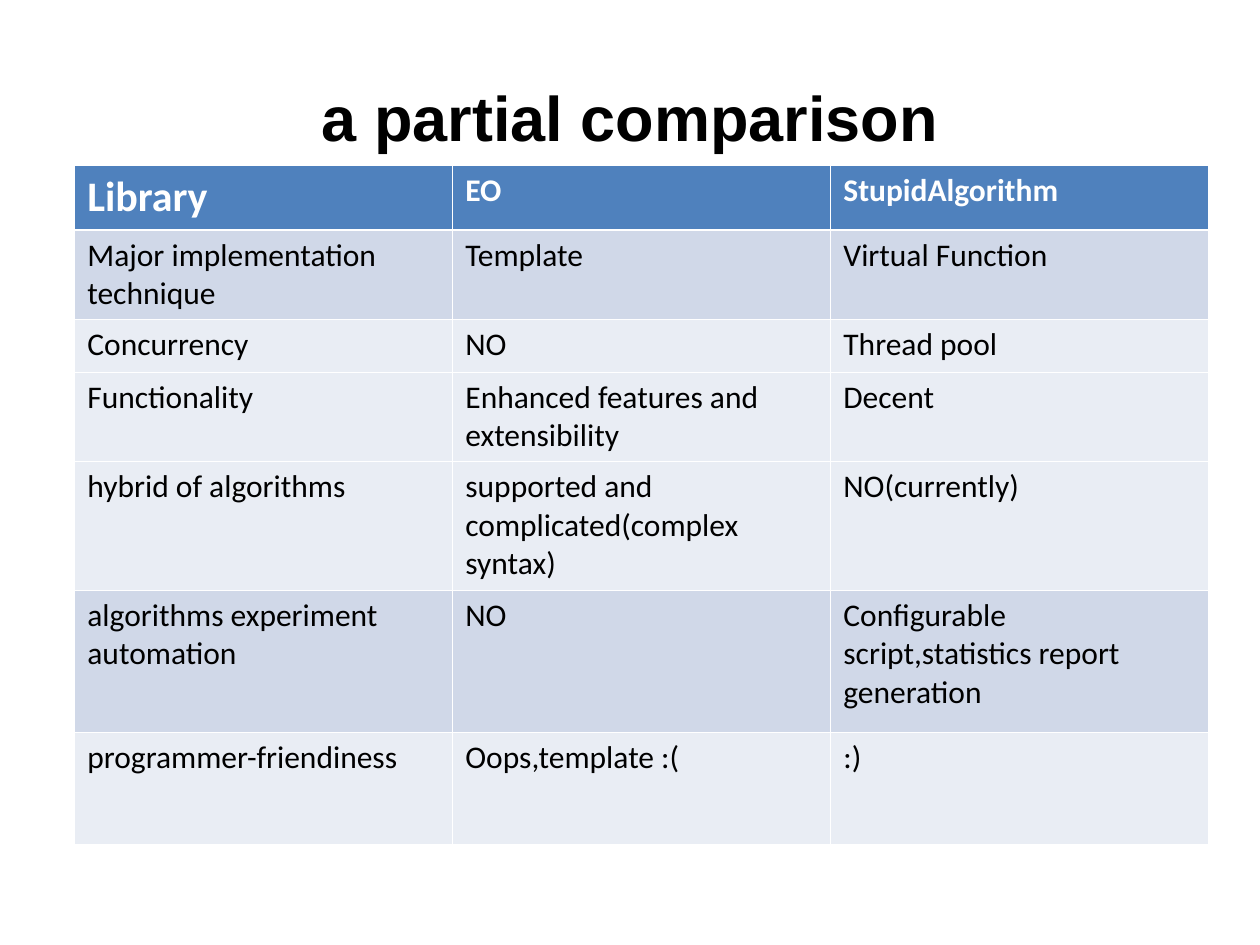
from dataclasses import dataclass

from lxml.etree import SubElement
from pptx import Presentation
from pptx.dml.color import RGBColor
from pptx.enum.text import MSO_ANCHOR, PP_ALIGN
from pptx.oxml.ns import qn
from pptx.util import Pt

WHITE, BLACK = "FFFFFF", "000000"
BLUE, DARK, LIGHT = "4F81BD", "D0D8E8", "E9EDF4"
THIN, THICK = 0.45, 1.47


@dataclass
class Row:
    high: float
    fill: str
    texts: tuple[str, str, str]


ROWS = [
    Row(36.7, BLUE, ("Library", "EO", "StupidAlgorithm")),
    Row(51.1, DARK, ("Major implementation technique", "Template",
                     "Virtual Function")),
    Row(30.2, LIGHT, ("Concurrency", "NO", "Thread pool")),
    Row(51.1, LIGHT, ("Functionality", "Enhanced features and extensibility",
                      "Decent")),
    Row(73.4, LIGHT, ("hybrid of algorithms",
                      "supported and complicated(complex syntax)",
                      "NO(currently)")),
    Row(81.4, DARK, ("algorithms experiment automation", "NO",
                     "Configurable script,statistics report generation")),
    Row(64.1, LIGHT, ("programmer-friendiness", "Oops,template :(", ":)")),
]


def color(code: str) -> RGBColor:
    return RGBColor.from_string(code)


def style(para, name: str, size: float, code: str, bold: bool) -> None:
    font = para.font
    font.name, font.size, font.bold = name, Pt(size), bold
    font.color.rgb = color(code)


def border(cell, side: str, width: float) -> None:
    line = SubElement(cell._tc.get_or_add_tcPr(), qn(f"a:ln{side}"),
                      w=str(int(Pt(width))))
    fill = SubElement(line, qn("a:solidFill"))
    SubElement(fill, qn("a:srgbClr"), val=WHITE)


def draw_cell(cell, text: str, fill: str, top: float, base: float,
              size: float, head: bool) -> None:
    for side, width in zip("LRTB", (THIN, THIN, top, base)):
        border(cell, side, width)
    cell.fill.solid()
    cell.fill.fore_color.rgb = color(fill)
    cell.text = text
    para = cell.text_frame.paragraphs[0]
    para.space_before = Pt(size / 4)
    style(para, "Calibri", size, WHITE if head else BLACK, head)


def draw_table(slide, rows: list[Row]) -> None:
    total = sum(row.high for row in rows)
    table = slide.shapes.add_table(len(rows), 3, Pt(42.75), Pt(94.6),
                                   Pt(648), Pt(total)).table
    table.first_row = table.horz_banding = False
    for col in table.columns:
        col.width = Pt(216)
    for r, row in enumerate(rows):
        table.rows[r].height = Pt(row.high)
        # A thicker rule parts the header from the body
        top = THICK if r == 1 else THIN
        base = THICK if r == 0 else THIN
        for c, text in enumerate(row.texts):
            size = 24 if r == c == 0 else 18
            draw_cell(table.cell(r, c), text, row.fill, top, base, size, r == 0)


def draw_title(slide, text: str) -> None:
    title = slide.shapes.title
    title.left, title.top = Pt(36), Pt(21.6)
    title.width, title.height = Pt(648), Pt(90)
    frame = title.text_frame
    frame.text = text
    frame.vertical_anchor = MSO_ANCHOR.MIDDLE
    para = frame.paragraphs[0]
    para.alignment = PP_ALIGN.CENTER
    style(para, "Arial", 36, BLACK, True)


def main() -> None:
    deck = Presentation()
    deck.slide_width, deck.slide_height = Pt(720), Pt(540)
    # Title-only layout
    slide = deck.slides.add_slide(deck.slide_layouts[5])
    draw_title(slide, "a partial comparison")
    draw_table(slide, ROWS)
    deck.save("out.pptx")


if __name__ == "__main__":
    main()
